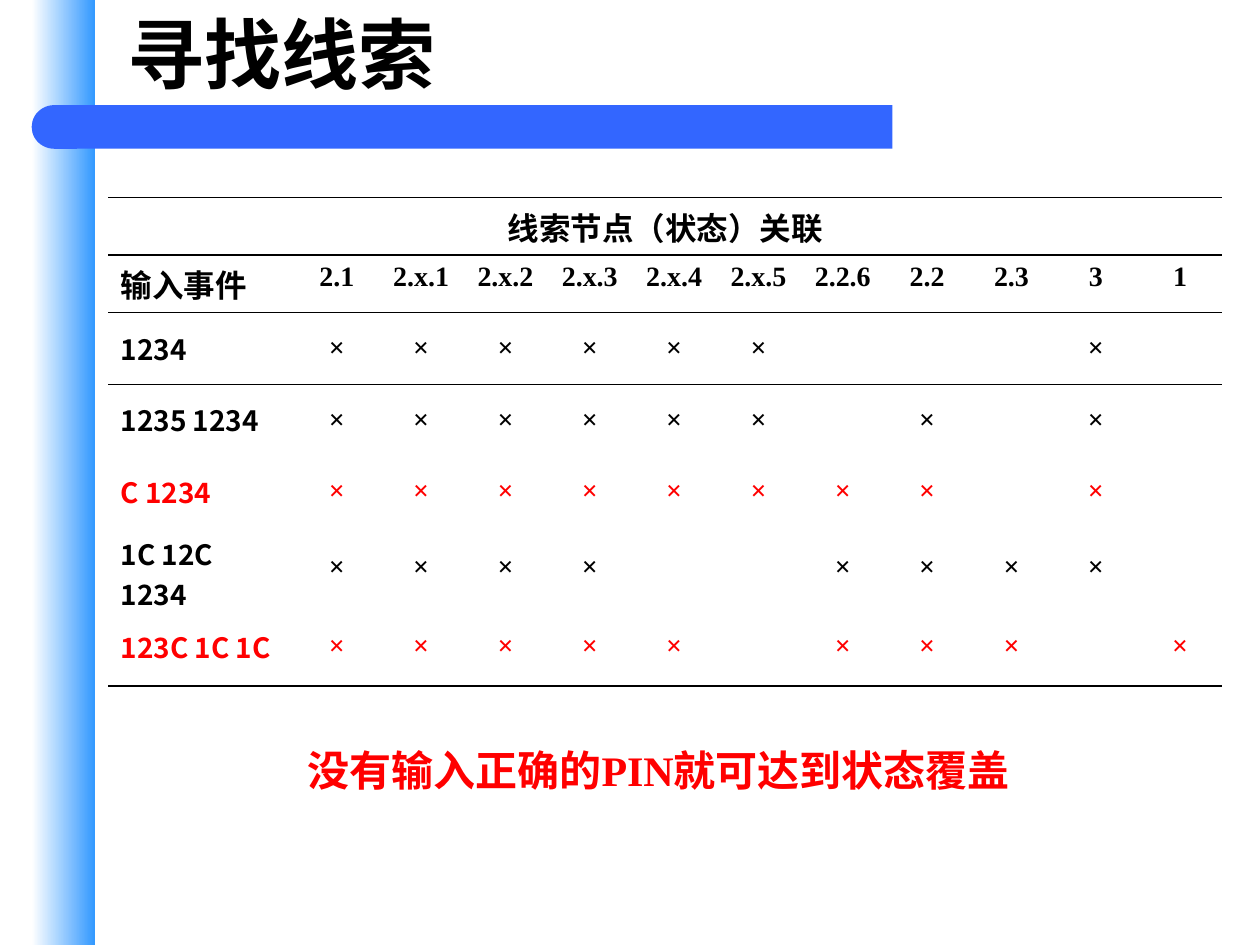
from lxml import etree
from pptx import Presentation
from pptx.dml.color import RGBColor
from pptx.enum.shapes import MSO_SHAPE
from pptx.enum.text import MSO_ANCHOR, PP_ALIGN
from pptx.oxml.ns import qn
from pptx.util import Cm, Pt

LEFT, CENTER = PP_ALIGN.LEFT, PP_ALIGN.CENTER
TOP, MIDDLE = MSO_ANCHOR.TOP, MSO_ANCHOR.MIDDLE
RECTANGLE, DELAY = MSO_SHAPE.RECTANGLE, MSO_SHAPE.FLOWCHART_DELAY
SERIF, SANS, TITLE_FONT = "Times New Roman", "Noto Sans CJK SC", "Calibri"
COLORS = {"black": "000000", "white": "FFFFFF", "red": "FF0000",
          "bar": "3366FF", "band": "3399FF"}
PLAIN_TABLE = "{2D5ABB26-0587-4C30-8999-92F81FD0307C}"

# Content
TITLE = "寻找线索"
TABLE_TITLE = "线索节点（状态）关联"
EVENT_HEADING = "输入事件"
STATES = ["2.1", "2.x.1", "2.x.2", "2.x.3", "2.x.4", "2.x.5",
          "2.2.6", "2.2", "2.3", "3", "1"]
MARK = "×"
# Input event, text colour, states it visits
THREADS = [
    ("1234", "black", STATES[:6] + ["3"]),
    ("1235 1234", "black", STATES[:6] + ["2.2", "3"]),
    ("C 1234", "red", STATES[:8] + ["3"]),
    ("1C 12C 1234", "black", STATES[:4] + ["2.2.6", "2.2", "2.3", "3"]),
    ("123C 1C 1C", "red", STATES[:5] + ["2.2.6", "2.2", "2.3", "1"]),
]
CONCLUSION = "没有输入正确的PIN就可达到状态覆盖"

# Sizes in centimetres
EVENT_WIDTH, STATE_WIDTH = 3.76, 1.7
ROW_HEIGHTS = [1.16, 1.16, 1.44, 1.44, 1.44, 1.6, 1.6]
# Rule widths in points above and below each row
RULES = {0: (0.96, 0.96), 1: (0.96, 0.45), 2: (0.45, None), 6: (None, 0.96)}


def rgb(name):
    return RGBColor.from_string(COLORS[name])


def write(frame, text, size=16, font=SERIF, color="black", align=LEFT):
    para = frame.paragraphs[0]
    para.alignment = align
    span = para.add_run()
    span.text = text
    span.font.size = Pt(size)
    span.font.bold = True
    span.font.name = font
    span.font.color.rgb = rgb(color)
    east_asian = etree.SubElement(span.font._element, qn("a:ea"))
    east_asian.set("typeface", SANS)


def add_box(page, text, left, top, width, height, anchor=TOP, **text_format):
    box = page.shapes.add_textbox(Cm(left), Cm(top), Cm(width), Cm(height))
    box.text_frame.word_wrap = True
    box.text_frame.vertical_anchor = anchor
    write(box.text_frame, text, **text_format)


def add_block(page, kind, left, top, width, height, color=None):
    block = page.shapes.add_shape(kind, Cm(left), Cm(top), Cm(width), Cm(height))
    block.shadow.inherit = False
    block.line.fill.background()
    if color:
        block.fill.solid()
        block.fill.fore_color.rgb = rgb(color)
    return block


def add_rule(cell, side, width):
    rule = etree.SubElement(cell._tc.get_or_add_tcPr(), qn("a:" + side),
                            w=str(int(Pt(width))))
    fill = etree.SubElement(rule, qn("a:solidFill"))
    etree.SubElement(fill, qn("a:srgbClr"), val=COLORS["black"])


def add_thread_table(page):
    frame = page.shapes.add_table(
        len(ROW_HEIGHTS), len(STATES) + 1, Cm(2.18), Cm(3.98),
        Cm(EVENT_WIDTH + STATE_WIDTH * len(STATES)), Cm(sum(ROW_HEIGHTS)))
    table = frame.table
    table.first_row = table.horz_banding = False
    table._tbl.tblPr.find(qn("a:tableStyleId")).text = PLAIN_TABLE
    for index, column in enumerate(table.columns):
        column.width = Cm(STATE_WIDTH if index else EVENT_WIDTH)

    # Row heights, rules and fills
    for index, row in enumerate(table.rows):
        row.height = Cm(ROW_HEIGHTS[index])
        for cell in row.cells:
            for side, width in zip(("lnT", "lnB"), RULES.get(index, ())):
                if width:
                    add_rule(cell, side, width)
            if index == 0:
                cell.fill.solid()
                cell.fill.fore_color.rgb = rgb("white")
            else:
                cell.fill.background()
            cell.vertical_anchor = MIDDLE if index > 1 else TOP

    # Headings
    table.cell(0, 0).merge(table.cell(0, len(STATES)))
    write(table.cell(0, 0).text_frame, TABLE_TITLE, size=18, align=CENTER)
    write(table.cell(1, 0).text_frame, EVENT_HEADING, size=18, font=SANS)
    for column, state in enumerate(STATES, 1):
        write(table.cell(1, column).text_frame, state, align=CENTER)

    # Threads
    for row, (event, color, visited) in enumerate(THREADS, 2):
        write(table.cell(row, 0).text_frame, event, font=SANS, color=color)
        for column, state in enumerate(STATES, 1):
            if state in visited:
                write(table.cell(row, column).text_frame, MARK,
                      color=color, align=CENTER)


def main():
    deck = Presentation()
    deck.slide_width, deck.slide_height = Cm(25.4), Cm(19.05)
    page = deck.slides.add_slide(deck.slide_layouts[6])

    # Side band and title bar
    band = add_block(page, RECTANGLE, 0.64, 0, 1.27, 19.05)
    band.fill.gradient()
    band.fill.gradient_angle = 0
    for stop, color in zip(band.fill.gradient_stops, ("white", "band")):
        stop.color.rgb = rgb(color)
    add_block(page, RECTANGLE, 1.53, 2.12, 16.46, 0.88, "bar")
    cap = add_block(page, DELAY, 0.64, 2.12, 0.91, 0.88, "bar")
    cap._element.spPr.xfrm.set("flipH", "1")

    # Title, table and conclusion
    add_box(page, TITLE, 2.33, 0, 22.02, 2.12, anchor=MIDDLE,
            size=44, font=TITLE_FONT)
    add_thread_table(page)
    add_box(page, CONCLUSION, 5.95, 14.88, 16.46, 1.28, size=24, color="red")
    deck.save("out.pptx")


if __name__ == "__main__":
    main()
